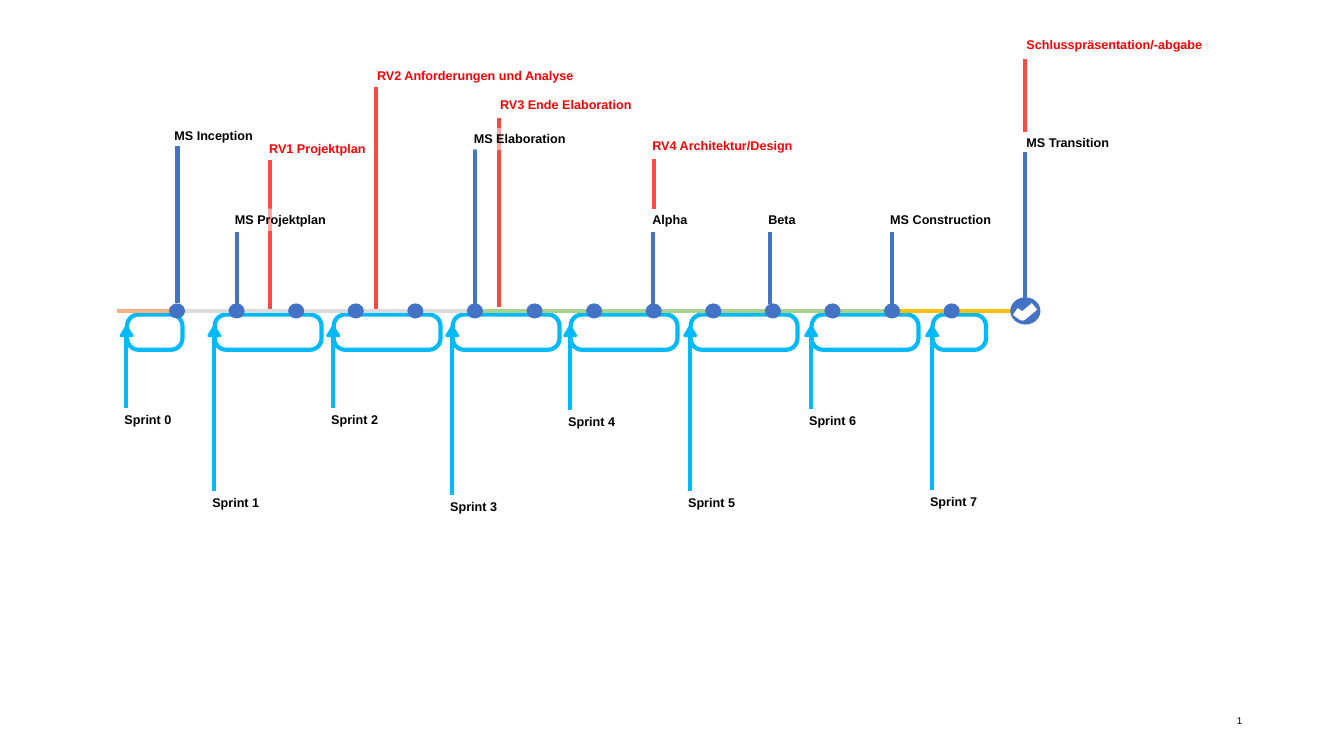
"""Build a project timeline slide with phases, milestones, reviews and sprints."""
import pptx
import pptx.dml.color
import pptx.enum.shapes
import pptx.enum.text
import pptx.oxml.ns
import pptx.util
from lxml import etree

COLOR = pptx.dml.color.RGBColor.from_string
SHAPE = pptx.enum.shapes.MSO_SHAPE
THEME = {
    "font": "Arial", "label_size": pptx.util.Pt(9), "page_size": pptx.util.Pt(7),
    "black": COLOR("000000"), "white": COLOR("FFFFFF"), "red": COLOR("FF0000"),
    "review": COLOR("FE4940"), "milestone": COLOR("4472C4"), "sprint": COLOR("00BAFB"),
    "inception": COLOR("F4B183"), "elaboration": COLOR("DBDBDB"),
    "construction": COLOR("A9D18E"), "transition": COLOR("FFC000"),
}

deck = pptx.Presentation()
deck.slide_width = pptx.util.Inches(13.33)
deck.slide_height = pptx.util.Inches(7.5)
page = deck.slides.add_slide(deck.slide_layouts[6])
CELL = deck.slide_height / 75
START, WEEK, AXIS = 11.65, 5.91, 30.85


def draw_line(left, top, right, bottom, color):
    """Draw a straight line between two points of the grid."""
    ends = [round(value * CELL) for value in (left, top, right, bottom)]
    line = page.shapes.add_connector(pptx.enum.shapes.MSO_CONNECTOR.STRAIGHT, *ends)
    line.line.color.rgb = THEME[color]
    line.line.width = pptx.util.Pt(3)
    etree.SubElement(line._element.spPr, pptx.oxml.ns.qn("a:effectLst"))


def draw_shape(kind, left, top, width, height, fill=None, line=None, weight=3):
    """Draw a preset shape on the grid and return it."""
    frame = [round(value * CELL) for value in (left, top, width, height)]
    shape = page.shapes.add_shape(kind, *frame)
    shape.shadow.inherit = False
    if fill:
        shape.fill.solid()
        shape.fill.fore_color.rgb = THEME[fill]
    else:
        shape.fill.background()
    if line:
        shape.line.color.rgb = THEME[line]
        shape.line.width = pptx.util.Pt(weight)
    else:
        shape.line.fill.background()
    return shape


# name, stem x, stem end, loop width, label width, veil
sprints = [
    ("Sprint 0", 12.5, 40.5, 5.5, 7.7, False),
    ("Sprint 1", 21.2, 48.7, 10.6, 7.9, False),
    ("Sprint 2", 33.0, 40.5, 10.6, 6.5, True),
    ("Sprint 3", 44.8, 49.1, 10.6, 7.9, False),
    ("Sprint 4", 56.5, 40.7, 10.6, 5.9, True),
    ("Sprint 5", 68.4, 48.7, 10.6, 8.9, False),
    ("Sprint 6", 80.4, 40.6, 10.6, 6.8, True),
    ("Sprint 7", 92.4, 48.6, 5.3, 13.2, False),
]
stems = [
    (64.9, 15.8, 20.7, "review"), (49.5, 11.7, 30.5, "review"),
    (37.3, 8.6, 30.9, "review"), (26.8, 15.9, 30.8, "review"),
    (101.7, 5.9, 13.1, "review"), (101.7, 15.1, 30.8, "milestone"),
    (88.5, 23, 30.2, "milestone"), (47.1, 14.8, 30.4, "milestone"),
    (23.5, 23, 30.2, "milestone"), (17.6, 14.5, 30.1, "milestone"),
    (64.8, 23, 30.2, "milestone"), (76.4, 23, 30.2, "milestone"),
]
labels = [
    ("MS Projektplan", 23, 20.7, 9.7, "black", True),
    ("MS Elaboration", 46.7, 12.7, 10.3, "black", True),
    ("MS Construction", 88, 20.7, 11, "black", False),
    ("MS Transition", 101.5, 13.1, 10.3, "black", False),
    ("Schlusspräsentation/-abgabe", 101.5, 3.4, 20.9, "red", False),
    ("RV1 Projektplan", 26.4, 13.7, 10.6, "red", True),
    ("MS Inception", 17, 12.4, 10.3, "black", False),
    ("RV2 Anforderungen und Analyse", 37.1, 6.4, 21.8, "red", True),
    ("RV3 Ende Elaboration", 49.3, 9.3, 13.7, "red", True),
    ("RV4 Architektur/Design", 64.4, 13.4, 15, "red", True),
    ("Alpha", 64.4, 20.7, 11, "black", False),
    ("Beta", 75.9, 20.7, 11, "black", False),
]
phases = (["inception"] + ["elaboration"] * 5
          + ["construction"] * 7 + ["transition"] * 2)

for name, stem, end, loop_width, label_width, veil in sprints:
    loop = draw_shape(SHAPE.ROUNDED_RECTANGLE, stem + 0.1, 31.2, loop_width, 3.5,
                      line="sprint")
    loop.adjustments[0] = 0.326
    labels.append((name, stem - 0.45, end + 0.1, label_width, "black", veil))

for stem, top, bottom, color in stems:
    draw_line(stem, top, stem, bottom, color)

for week, phase in enumerate(phases):
    left = START + week * WEEK
    draw_line(left, AXIS, left + WEEK, AXIS, phase)

for week in range(1, len(phases)):
    draw_shape(SHAPE.OVAL, START + week * WEEK - 0.8, AXIS - 0.75, 1.6, 1.5, "milestone")

draw_shape(SHAPE.OVAL, 100.2, 29.5, 3, 2.7, "milestone")
outline = page.shapes.build_freeform(round(100.7 * CELL), round(30.9 * CELL))
outline.add_line_segments([(round(x * CELL), round(y * CELL))
                           for x, y in ((101.4, 31.4), (102.6, 30.4))], close=False)
check = outline.convert_to_shape()
check.shadow.inherit = False
check.fill.background()
check.line.color.rgb = THEME["white"]
check.line.width = pptx.util.Pt(6)

for name, stem, end, *sizes in sprints:
    draw_shape(SHAPE.ISOSCELES_TRIANGLE, stem - 0.5, 32.4, 1.1, 0.9, "sprint", "sprint", 2)
    draw_line(stem, 33.2, stem, end, "sprint")

for text, left, top, width, color, veil in labels:
    if veil:
        box = draw_shape(SHAPE.RECTANGLE, left, top, width, 2.2, "white")
        shade = box._element.spPr.find(".//" + pptx.oxml.ns.qn("a:srgbClr"))
        etree.SubElement(shade, pptx.oxml.ns.qn("a:alpha"), val="50000")
    else:
        box = page.shapes.add_textbox(*[round(value * CELL)
                                        for value in (left, top, width, 2.2)])
    frame = box.text_frame
    frame.word_wrap = True
    frame.vertical_anchor = pptx.enum.text.MSO_ANCHOR.TOP
    frame.margin_left = frame.margin_right = round(0.3 * CELL)
    frame.margin_top = frame.margin_bottom = round(0.3 * CELL)
    para = frame.paragraphs[0]
    para.text = text
    para.alignment = pptx.enum.text.PP_ALIGN.LEFT
    para.font.name = THEME["font"]
    para.font.size = THEME["label_size"]
    para.font.bold = True
    para.font.color.rgb = THEME[color]

number = page.shapes.add_textbox(*[round(value * CELL) for value in (94.2, 69.5, 30, 4)])
number.text_frame.word_wrap = True
number.text_frame.vertical_anchor = pptx.enum.text.MSO_ANCHOR.MIDDLE
para = number.text_frame.paragraphs[0]
para.text = "1"
para.alignment = pptx.enum.text.PP_ALIGN.RIGHT
para.font.name = THEME["font"]
para.font.size = THEME["page_size"]
para.font.color.rgb = THEME["black"]

deck.save("out.pptx")
